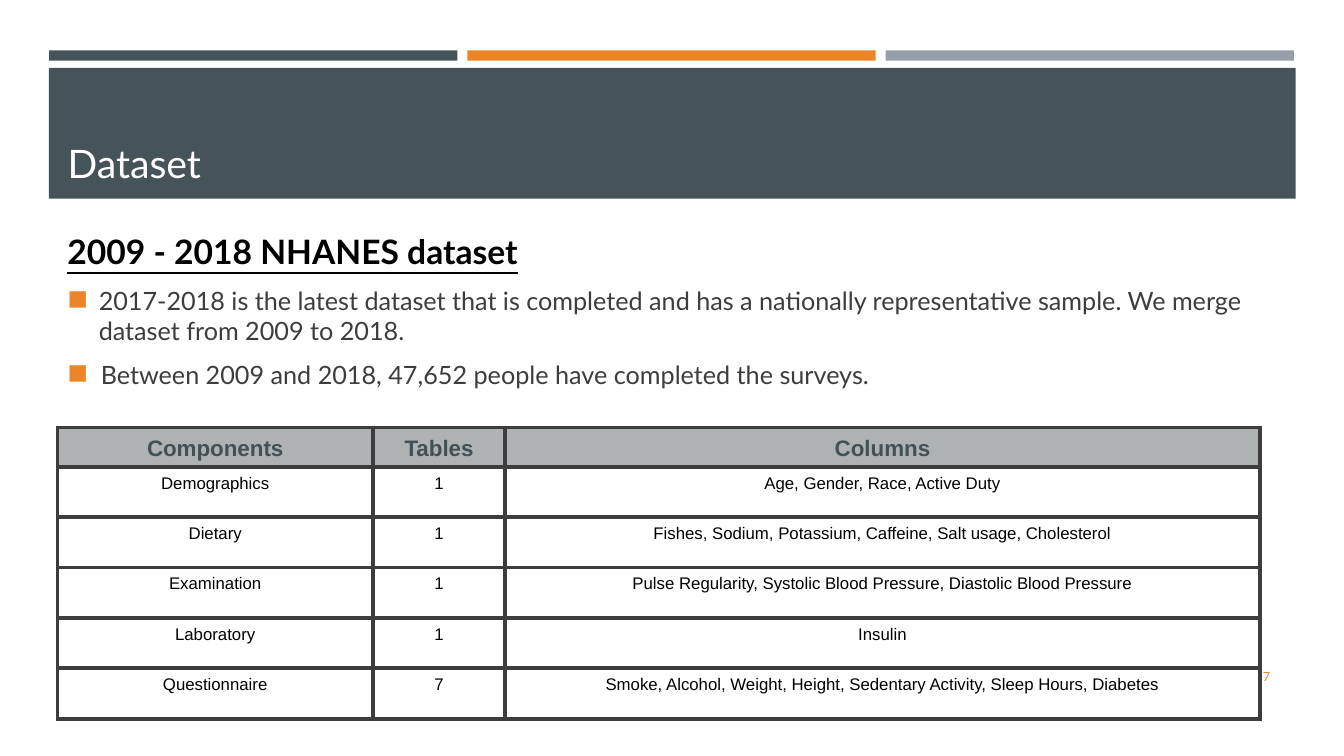
from lxml import etree
from pptx import Presentation
from pptx.dml.color import RGBColor
from pptx.enum.shapes import MSO_SHAPE
from pptx.enum.text import MSO_ANCHOR, PP_ALIGN
from pptx.oxml.ns import qn
from pptx.util import Cm, Pt

RECTANGLE = MSO_SHAPE.RECTANGLE
TOP, MIDDLE, BOTTOM = MSO_ANCHOR.TOP, MSO_ANCHOR.MIDDLE, MSO_ANCHOR.BOTTOM
LEFT, CENTER, RIGHT = PP_ALIGN.LEFT, PP_ALIGN.CENTER, PP_ALIGN.RIGHT

WHITE = RGBColor(0xFF, 0xFF, 0xFF)
BLACK = RGBColor(0x00, 0x00, 0x00)
SLATE = RGBColor(0x46, 0x53, 0x59)
ORANGE = RGBColor(0xED, 0x84, 0x28)
GRAY = RGBColor(0x96, 0x9F, 0xA7)
CHARCOAL = RGBColor(0x3D, 0x3D, 0x3D)
HEADER_FILL = RGBColor(0xAF, 0xB2, 0xB3)
HEADER_TEXT = RGBColor(0x43, 0x51, 0x56)

TITLE_ONLY_LAYOUT = 5
TEXT_FONT, TABLE_FONT = "Lato", "Arial"
CONTENT_LEFT, CONTENT_WIDTH = 1.45, 30.63

BULLETS = [
    ("2017-2018 is the latest dataset that is completed and has a nationally "
     "representative sample. We merge dataset from 2009 to 2018.", 0.79),
    ("Between 2009 and 2018, 47,652 people have completed the surveys.", 0.84),
]
COLUMN_WIDTHS = [7.95, 3.33, 19.02]
HEADER_HEIGHT, ROW_HEIGHT = 0.99, 1.27
TABLE_ROWS = [
    ("Components", "Tables", "Columns"),
    ("Demographics", "1", "Age, Gender, Race, Active Duty"),
    ("Dietary", "1", "Fishes, Sodium, Potassium, Caffeine, Salt usage, Cholesterol"),
    ("Examination", "1",
     "Pulse Regularity, Systolic Blood Pressure, Diastolic Blood Pressure"),
    ("Laboratory", "1", "Insulin"),
    ("Questionnaire", "7",
     "Smoke, Alcohol, Weight, Height, Sedentary Activity, Sleep Hours, Diabetes"),
]


def format_paragraph(paragraph, size, color, font=TEXT_FONT, bold=False,
                     underline=False, align=LEFT):
    """Align a paragraph and format all its runs."""
    paragraph.alignment = align
    for run in paragraph.runs:
        run.font.name = font
        run.font.size = Pt(size)
        run.font.bold = bold
        run.font.underline = underline
        run.font.color.rgb = color


def add_bar(slide, left, top, width, height, color):
    """Add a plain filled rectangle."""
    shape = slide.shapes.add_shape(
        RECTANGLE, Cm(left), Cm(top), Cm(width), Cm(height))
    shape.shadow.inherit = False
    shape.fill.solid()
    shape.fill.fore_color.rgb = color
    shape.line.fill.background()


def add_text(slide, left, top, width, height, text, anchor=TOP):
    """Add a wrapping text box and return its text frame."""
    shape = slide.shapes.add_textbox(Cm(left), Cm(top), Cm(width), Cm(height))
    text_frame = shape.text_frame
    text_frame.word_wrap = True
    text_frame.vertical_anchor = anchor
    text_frame.text = text
    return text_frame


def set_title(slide, text):
    """Place the title in front of the header band."""
    title = slide.shapes.title
    slide.shapes.element.append(title.element)
    title.left, title.top = Cm(CONTENT_LEFT), Cm(2.01)
    title.width, title.height = Cm(CONTENT_WIDTH), Cm(2.82)
    title.text_frame.text = text
    title.text_frame.vertical_anchor = BOTTOM
    format_paragraph(title.text_frame.paragraphs[0], 28, WHITE)


def set_bullet(paragraph, indent):
    """Give a paragraph an orange square bullet with a hanging indent."""
    properties = paragraph._p.get_or_add_pPr()
    properties.set("marL", str(Cm(indent)))
    properties.set("indent", str(-Cm(indent)))
    bullet_color = etree.SubElement(properties, qn("a:buClr"))
    etree.SubElement(bullet_color, qn("a:srgbClr"), val=str(ORANGE))
    etree.SubElement(properties, qn("a:buChar"), char="\u25fc")


def add_bullets(slide):
    """Add the bulleted description of the dataset."""
    text = "\n".join(line for line, _ in BULLETS)
    text_frame = add_text(slide, CONTENT_LEFT, 7.19, CONTENT_WIDTH, 4.01, text)
    text_frame.margin_top = 0
    for paragraph, (_, indent) in zip(text_frame.paragraphs, BULLETS):
        format_paragraph(paragraph, 18, CHARCOAL)
        paragraph.space_before = Pt(9.6)
        set_bullet(paragraph, indent)


def set_borders(cell, color, width):
    """Draw a solid line on all four sides of a cell."""
    properties = cell._tc.get_or_add_tcPr()
    for side in ("a:lnL", "a:lnR", "a:lnT", "a:lnB"):
        line = etree.SubElement(properties, qn(side), w=str(Pt(width)))
        fill = etree.SubElement(line, qn("a:solidFill"))
        etree.SubElement(fill, qn("a:srgbClr"), val=str(color))


def format_cell(cell, is_header):
    """Style a header or body cell."""
    set_borders(cell, CHARCOAL, 3)
    cell.margin_left = cell.margin_right = Cm(0.03)
    paragraph = cell.text_frame.paragraphs[0]
    if is_header:
        cell.fill.solid()
        cell.fill.fore_color.rgb = HEADER_FILL
        cell.vertical_anchor = BOTTOM
        format_paragraph(paragraph, 16, HEADER_TEXT, TABLE_FONT, True, align=CENTER)
    else:
        cell.fill.background()
        cell.vertical_anchor = TOP
        cell.margin_top = Cm(0.18)
        format_paragraph(paragraph, 12, BLACK, TABLE_FONT, align=CENTER)


def add_component_table(slide):
    """Add the table of survey components."""
    heights = [HEADER_HEIGHT] + [ROW_HEIGHT] * (len(TABLE_ROWS) - 1)
    table = slide.shapes.add_table(
        len(TABLE_ROWS), len(COLUMN_WIDTHS), Cm(CONTENT_LEFT), Cm(10.77),
        Cm(sum(COLUMN_WIDTHS)), Cm(sum(heights))).table
    table.first_row = table.horz_banding = False
    for column, width in zip(table.columns, COLUMN_WIDTHS):
        column.width = Cm(width)
    for row_index, (row, height) in enumerate(zip(table.rows, heights)):
        row.height = Cm(height)
        for cell, text in zip(row.cells, TABLE_ROWS[row_index]):
            cell.text_frame.text = text
            format_cell(cell, row_index == 0)


def main():
    """Build the dataset slide."""
    presentation = Presentation()
    presentation.slide_width, presentation.slide_height = Cm(33.87), Cm(19.05)
    slide = presentation.slides.add_slide(
        presentation.slide_layouts[TITLE_ONLY_LAYOUT])

    for index, color in enumerate((SLATE, ORANGE, GRAY)):
        add_bar(slide, 1.24 + index * 10.54, 1.27, 10.29, 0.26, color)
    add_bar(slide, 1.23, 1.71, 31.42, 3.3, SLATE)
    set_title(slide, "Dataset")

    add_bullets(slide)
    heading = add_text(slide, CONTENT_LEFT, 5.69, 28.93, 1.27,
                       "2009 - 2018 NHANES dataset")
    format_paragraph(heading.paragraphs[0], 24, BLACK, bold=True, underline=True)
    number = add_text(slide, 29.34, 16.54, 2.92, 1.02, "7", MIDDLE)
    format_paragraph(number.paragraphs[0], 9, ORANGE, align=RIGHT)
    add_component_table(slide)

    presentation.save("out.pptx")


main()
